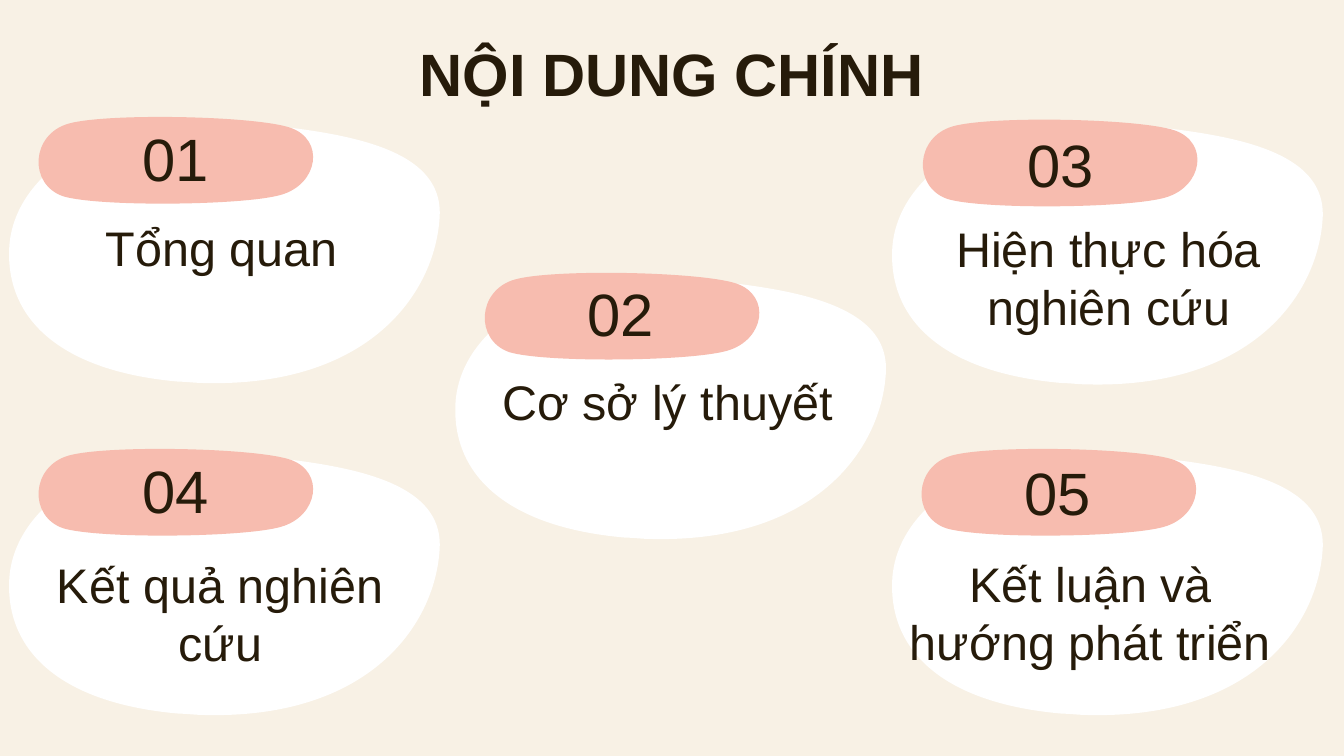
from dataclasses import dataclass
from math import cos, radians, sin

from lxml.etree import SubElement
from pptx import Presentation
from pptx.dml.color import RGBColor
from pptx.enum.text import MSO_ANCHOR, PP_ALIGN
from pptx.oxml.ns import qn
from pptx.util import Inches, Pt

CELL = Inches(0.1)
INK, CREAM, WHITE, PINK = "261B0A", "F8F1E5", "FFFFFF", "F7BCAF"
COLS = (0.7, 33.9, 66.4)
ROWS = (9, 20.6, 33.7)


@dataclass(frozen=True)
class Curve:
    """A closed outline of cubic arcs, in cells from the corner of its card."""
    dots: tuple
    hub: tuple
    size: tuple
    turn: float
    fill: str


@dataclass(frozen=True)
class Card:
    """One agenda entry, with its text boxes in cells from its corner."""
    num: str
    label: str
    col: int
    row: int
    spot: tuple
    box: tuple
    drop: tuple = (0, 0)


BLOB = Curve((
    (12.6, 19.4),
    (3.5, 18.6), (-0.4, 14.5), (0, 9.2),
    (0.5, 3.5), (7.7, -0.6), (15.9, 0),
    (24, 0.7), (32.5, 1.6), (32, 7.3),
    (31.6, 12.9), (26.7, 19.8), (14.5, 19.5),
    (13.8, 19.5), (13.2, 19.4), (12.6, 19.4),
), (15.85, 9.8), (31.7, 19.6), 184.6, WHITE)
PILL = Curve((
    (4, 5.6),
    (6.6, 6.4), (17.4, 6.3), (20.2, 5.5),
    (23, 4.7), (23.5, 1.4), (20.9, 0.5),
    (18.2, -0.4), (7.2, -0.6), (4.4, 0.2),
    (1.6, 1), (1.4, 4.7), (4, 5.6),
), (12.35, 2.9), (6.5, 20.4), 270, PINK)
CARDS = (
    Card("01", "Tổng quan", 0, 0, (7.6, -0.5), (0.7, 6.2, 30.2, 8.8)),
    Card("05", "Kết luận và hướng phát triển", 2, 2, (7.5, -0.3), (0, 6.5, 29.5, 10.5)),
    Card("03", "Hiện thực hóa nghiên cứu", 2, 0, (7.6, -0.1), (1, 6.3, 30.2, 8.8), (0.1, 0.1)),
    Card("04", "Kết quả nghiên cứu", 0, 2, (7.6, -0.5), (0.6, 6.6, 30.2, 8.8)),
    Card("02", "Cơ sở lý thuyết", 1, 1, (7.5, -0.5), (0.7, 6.1, 30.2, 8.8)),
)


def tint(code: str) -> RGBColor:
    """Turn a hex string into a colour."""
    return RGBColor.from_string(code)


def bend(shape, left: int, top: int, wide: int, high: int) -> None:
    """Make cubic arcs of the shape's lines and fit it to the given frame."""
    route = shape._element.find(".//" + qn("a:path"))
    for dot in route.iter(qn("a:pt")):
        dot.set("x", str(int(dot.get("x")) + shape.left - left))
        dot.set("y", str(int(dot.get("y")) + shape.top - top))
    lines = route.findall(qn("a:lnTo"))
    end = route.find(qn("a:close"))
    for i in range(0, len(lines), 3):
        arc = SubElement(route, qn("a:cubicBezTo"))
        for line in lines[i:i + 3]:
            arc.append(line[0])
            route.remove(line)
    route.append(end)
    route.set("w", str(wide))
    route.set("h", str(high))
    shape.left, shape.top, shape.width, shape.height = left, top, wide, high


def draw(slide, curve: Curve, left: float, top: float) -> None:
    """Draw a curve as a turned freeform."""
    hx, hy = curve.hub
    wide, high = curve.size
    c, s = cos(radians(curve.turn)), sin(radians(curve.turn))
    dots = [
        ((left + hx + (x - hx) * c + (y - hy) * s) * CELL,
         (top + hy - (x - hx) * s + (y - hy) * c) * CELL)
        for x, y in curve.dots
    ]
    pen = slide.shapes.build_freeform(*dots[0])
    pen.add_line_segments(dots[1:], close=True)
    shape = pen.convert_to_shape()
    frame = (left + hx - wide / 2, top + hy - high / 2, wide, high)
    bend(shape, *(int(n * CELL) for n in frame))
    shape.rotation = curve.turn
    shape.shadow.inherit = False
    shape.fill.solid()
    shape.fill.fore_color.rgb = tint(curve.fill)
    shape.line.fill.background()


def write(shape, text: str, size: int, anchor=MSO_ANCHOR.TOP, bold: bool = False) -> None:
    """Fill a shape with one centred paragraph."""
    frame = shape.text_frame
    frame.word_wrap = True
    frame.vertical_anchor = anchor
    frame.margin_left = frame.margin_right = CELL
    frame.margin_top = frame.margin_bottom = CELL
    para = frame.paragraphs[0]
    para.text = text
    para.alignment = PP_ALIGN.CENTER
    para.font.name = "Arial"
    para.font.size = Pt(size)
    para.font.bold = bold
    para.font.color.rgb = tint(INK)


def place(slide, left: float, top: float, wide: float, high: float):
    """Add a text box measured in cells."""
    return slide.shapes.add_textbox(*(int(n * CELL) for n in (left, top, wide, high)))


def show(slide, card: Card) -> None:
    """Draw one card with its number and label."""
    left, top = COLS[card.col], ROWS[card.row]
    dx, dy = card.drop
    draw(slide, BLOB, left, top + dy)
    draw(slide, PILL, left + dx, top + 2 * dy)
    x, y, wide, high = card.box
    write(place(slide, left + x, top + y, wide, high), card.label, 26)
    x, y = card.spot
    spot = place(slide, left + x + dx, top + y + dy, 9.6, 6.4)
    write(spot, card.num, 32, MSO_ANCHOR.MIDDLE)


def main() -> None:
    """Build the agenda slide and save it."""
    deck = Presentation()
    deck.slide_width, deck.slide_height = 100 * CELL, int(56.25 * CELL)
    slide = deck.slides.add_slide(deck.slide_layouts[5])
    slide.background.fill.solid()
    slide.background.fill.fore_color.rgb = tint(CREAM)
    title = slide.shapes.title
    title.left, title.top = 0, int(1.7 * CELL)
    title.width, title.height = 100 * CELL, int(6.3 * CELL)
    write(title, "NỘI DUNG CHÍNH", 32, bold=True)
    for card in CARDS:
        show(slide, card)
    deck.save("out.pptx")


if __name__ == "__main__":
    main()
